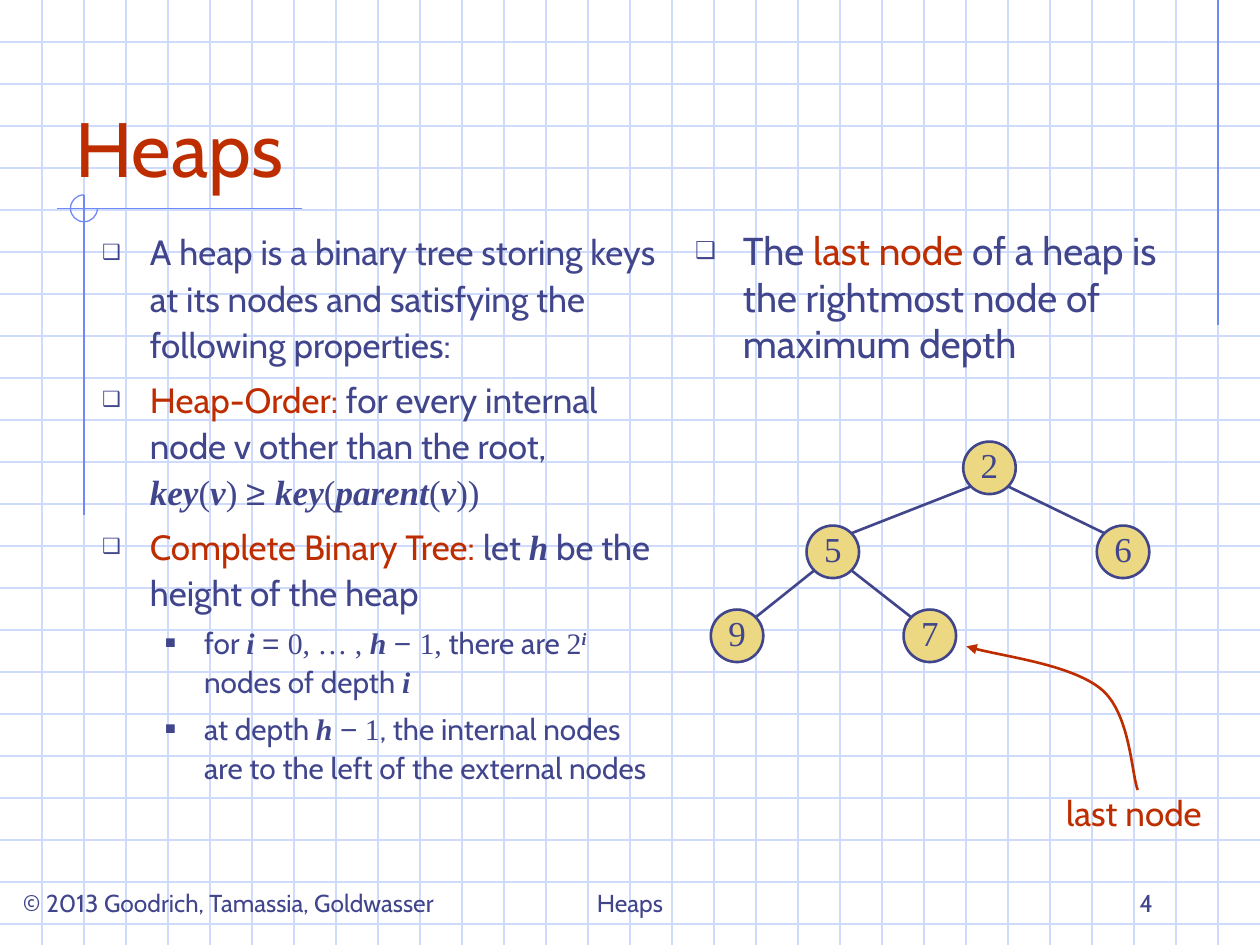
from itertools import product
from lxml.etree import SubElement as Sub
from pptx import Presentation
from pptx.dml.color import RGBColor
from pptx.enum.shapes import MSO_CONNECTOR as Link, MSO_SHAPE as Form
from pptx.enum.text import MSO_ANCHOR as Anchor, MSO_AUTO_SIZE as Auto, PP_ALIGN as Align
from pptx.oxml.ns import qn
from pptx.util import Inches, Pt

COLS, ROWS = 30, 22.5
INK, RED, GOLD, PALE, BLUE = "40458C", "BE2D00", "ECD882", "CFDBFD", "6F89F7"
SANS, SERIF = "Cabin", "Times New Roman"

# Run styles: font, colour, emphasis
LOOKS = {
    "text": dict(name=SANS, color=INK),
    "red": dict(name=SANS, color=RED),
    "num": dict(name=SERIF, color=INK),
    "var": dict(name=SERIF, color=INK, bold=True, italic=True),
    "sup": dict(name=SERIF, color=INK, bold=True, italic=True, raised=True),
    "sign": dict(name="Arial", color=INK),
}
# Bullet levels: mark, left margin, hanging indent
MARKS = [("❑", 0.38, 0.38), ("■", 0.81, 0.31)]

LEFT = [
    (0, [("text", "A heap is a binary tree storing keys at its nodes "
                  "and satisfying the following properties:")]),
    (0, [("red", "Heap-Order:"), ("text", " for every internal node v other than the root,"),
         ("break", ""), ("var", "key"), ("num", "("), ("var", "v"), ("num", ") "),
         ("sign", "≥ "), ("var", "key"), ("num", "("), ("var", "parent"), ("num", "("),
         ("var", "v"), ("num", "))")]),
    (0, [("red", "Complete Binary Tree:"), ("text", " let "), ("var", "h"),
         ("text", " be the height of the heap")]),
    (1, [("text", "for "), ("var", "i "), ("sign", "= "), ("num", "0, … , "), ("var", "h "),
         ("sign", "− "), ("num", "1,"), ("text", " there are "), ("num", "2"), ("sup", "i"),
         ("text", " nodes of depth "), ("var", "i")]),
    (1, [("text", "at depth "), ("var", "h "), ("sign", "−"), ("num", " 1"),
         ("text", ", the internal nodes are to the left of the external nodes")]),
]
RIGHT = [(0, [("text", "The"), ("red", " last node"),
              ("text", " of a heap is the rightmost node of maximum depth")])]

# Heap nodes: key -> (column, depth, parent)
NODES = {2: (23.56, 0, None), 6: (26.74, 1, 2), 5: (19.83, 1, 2),
         7: (22.14, 2, 5), 9: (17.55, 2, 5)}
TOP, STEP, SIZE = 11.14, 2, 1.25
POINTER = [(27.09, 18.81), (26.94, 18.42), (26.91, 16.98), (26.22, 16.41),
           (25.53, 15.84), (23.67, 15.6), (23.01, 15.39)]


def rgb(code):
    return RGBColor.from_string(code)


def grid(*cells):
    """Turn grid cells into lengths."""
    return [Inches(cell / 3) for cell in cells]


def apply(target, values):
    for name, value in values.items():
        setattr(target, name, value)


class Board:
    """Holds the deck, the current slide and the drawing style."""

    def __init__(self):
        self.deck = Presentation()
        self.deck.slide_width, self.deck.slide_height = grid(COLS, ROWS)
        self.slide = self.deck.slides.add_slide(self.deck.slide_layouts[3])
        self.shapes = self.slide.shapes
        self.frame = dict(word_wrap=True, auto_size=Auto.NONE, vertical_anchor=Anchor.BOTTOM)

    def stroke(self, shape, color, width):
        shape.line.color.rgb = rgb(color)
        shape.line.width = Pt(width)

    def line(self, start, end, color=PALE, width=0.75):
        link = self.shapes.add_connector(Link.STRAIGHT, *grid(*start, *end))
        self.stroke(link, color, width)
        Sub(link._element.spPr, qn("a:effectLst"))

    def curve(self, points, color, width, arrow=False):
        """Draw cubic curves: a start, then three points for each piece."""
        start, *rest = [grid(*point) for point in points]
        pen = self.shapes.build_freeform(*start, scale=1.0)
        pen.add_line_segments(rest, close=False)
        shape = pen.convert_to_shape()
        legs = list(shape._element.iter(qn("a:lnTo")))
        for i in range(0, len(legs), 3):
            bend = Sub(legs[i].getparent(), qn("a:cubicBezTo"))
            for leg in legs[i:i + 3]:
                bend.append(leg[0])
                leg.getparent().remove(leg)
        shape.fill.background()
        shape.shadow.inherit = False
        self.stroke(shape, color, width)
        if arrow:
            Sub(shape._element.spPr.find(qn("a:ln")), qn("a:tailEnd"), type="triangle")

    def runs(self, para, parts, size):
        for look, text in parts:
            if look == "break":
                para.add_line_break()
                continue
            run = para.add_run()
            run.text = text
            style = dict(LOOKS[look])
            run.font.color.rgb = rgb(style.pop("color"))
            if style.pop("raised", False):
                run._r.get_or_add_rPr().set("baseline", "30000")
            apply(run.font, dict(style, size=Pt(size)))

    def place(self, slot, box):
        """Move a placeholder to a box, in front of what is drawn so far."""
        shape = self.slide.placeholders[slot]
        apply(shape, dict(zip(("left", "top", "width", "height"), grid(*box))))
        self.shapes._spTree.append(shape._element)
        return shape.text_frame

    def title(self, text, box):
        frame = self.place(0, box)
        apply(frame, self.frame)
        frame.paragraphs[0].alignment = Align.LEFT
        self.runs(frame.paragraphs[0], [("red", text)], 44)

    def items(self, slot, box, rows, sizes, gaps, space=1.0):
        frame = self.place(slot, box)
        apply(frame, dict(self.frame, vertical_anchor=Anchor.TOP))
        for i, (level, parts) in enumerate(rows):
            para = frame.add_paragraph() if i else frame.paragraphs[0]
            mark, left, hang = MARKS[level]
            props = para._p.get_or_add_pPr()
            props.set("marL", str(Inches(left)))
            props.set("indent", str(-Inches(hang)))
            Sub(Sub(props, qn("a:buClr")), qn("a:srgbClr"), val=INK)
            Sub(props, qn("a:buSzPct"), val="60000")
            Sub(props, qn("a:buChar"), char=mark)
            apply(para, dict(level=level, line_spacing=space,
                             space_before=Pt(gaps[level] if i else 0)))
            self.runs(para, parts, sizes[level])

    def label(self, text, box, align, size=14, look="text", **extra):
        frame = self.shapes.add_textbox(*grid(*box)).text_frame
        apply(frame, dict(self.frame, **extra))
        frame.paragraphs[0].alignment = align
        self.runs(frame.paragraphs[0], [(look, text)], size)

    def node(self, key, x, y):
        half = SIZE / 2
        disc = self.shapes.add_shape(Form.OVAL, *grid(x - half, y - half, SIZE, SIZE))
        disc.shadow.inherit = False
        disc.fill.solid()
        disc.fill.fore_color.rgb = rgb(GOLD)
        self.stroke(disc, INK, 1.5)
        frame = disc.text_frame
        apply(frame, dict(word_wrap=False, vertical_anchor=Anchor.MIDDLE, margin_left=0,
                          margin_right=0, margin_top=0, margin_bottom=Inches(0.05)))
        frame.paragraphs[0].alignment = Align.CENTER
        self.runs(frame.paragraphs[0], [("num", str(key))], 20)

    def tree(self):
        spots = {key: (x, TOP + STEP * deep) for key, (x, deep, _) in NODES.items()}
        rim = SIZE / 2 * 0.71
        for key, (x, y) in spots.items():
            self.node(key, x, y)
            if NODES[key][2]:
                px, py = spots[NODES[key][2]]
                side = rim if x > px else -rim
                self.line((px + side, py + rim), (x - side, y - rim), INK, 1.5)

    def paper(self):
        """Draw the squared paper and the corner rules."""
        for row in range(1, int(ROWS) + 1):
            self.line((0, row), (COLS, row))
        for col in range(1, COLS):
            self.line((col, 0), (col, ROWS))
        for start, end in [((29, 0), (29, 7.75)), ((7.2, 4.96), (1.35, 4.96)),
                           ((2, 4.65), (2, 12.27))]:
            self.line(start, end, BLUE)
        ring = [(0, -1), (-.55, -1), (-1, -.55), (-1, 0), (-1, .55), (-.55, 1),
                (0, 1), (.55, 1), (1, .55), (1, 0)]
        self.curve([(2 + 0.32 * x, 4.96 + 0.32 * y) for x, y in ring], BLUE, 0.75)


def main():
    board = Board()
    board.paper()
    board.label("Heaps", (10.25, 20.5, 9.5, 1.5), Align.CENTER)
    board.label("4", (21.5, 20.5, 6.25, 1.5), Align.RIGHT)
    board.title("Heaps", (1.5, 1, 25.5, 3.75))
    board.items(1, (2.13, 5.25, 13.89, 15.75), LEFT, (20, 17), (5, 4.2), 1.1)
    board.tree()
    board.items(2, (16.25, 5.25, 12.5, 4.75), RIGHT, (22.2,), (6,))
    board.curve(POINTER, RED, 1.5, arrow=True)
    board.label("last node", (24.9, 18.69, 4.2, 1.32), Align.CENTER, 20, "red",
                word_wrap=False, vertical_anchor=Anchor.TOP)
    board.label("© 2013 Goodrich, Tamassia, Goldwasser", (0.25, 20.5, 12.25, 1.5), Align.LEFT)
    board.deck.save("out.pptx")


if __name__ == "__main__":
    main()
